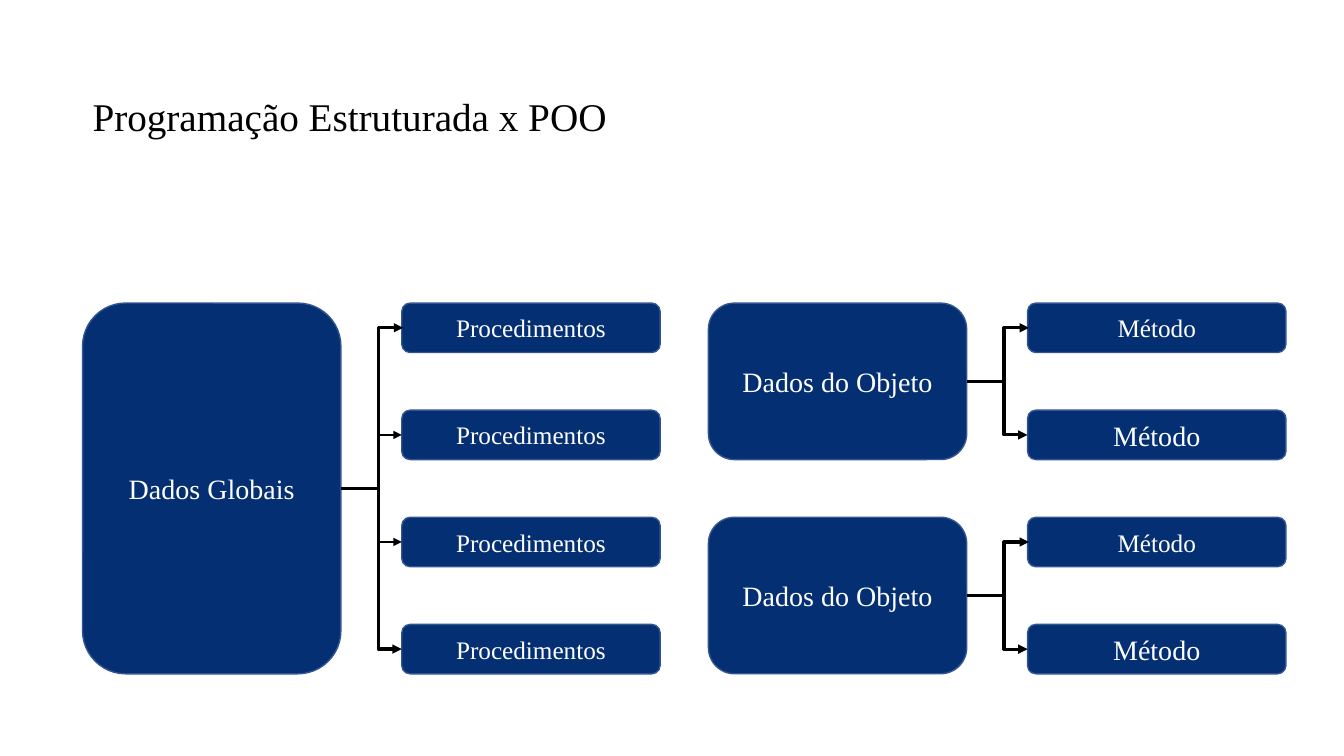
"""Build a slide comparing structured programming with object orientation."""
from lxml import etree
from pptx import Presentation
from pptx import util as u
from pptx.dml import color
from pptx.enum import shapes, text
from pptx.oxml import ns

LEFT, TOP, WIDTH, HEIGHT = 59, 216.5, 184.5, 35.3
PITCH, BRANCH_OFFSET, PANEL_OFFSET = 76.5, 228, 447
TRUNK_GAP, TIP = 17, 1


def rgb(value):
    """Turn a hex string into a colour."""
    return color.RGBColor.from_string(value)


class Deck:
    """Hold the style and the current slide."""

    font = "Times New Roman"
    fill, border, ink, light = "043073", "325491", "000000", "FFFFFF"

    def __init__(self, prs):
        """Add a blank slide."""
        self.s = prs.slides.add_slide(prs.slide_layouts[6])

    def label(self, sp, words, size, ink, align):
        """Put one formatted paragraph in a shape."""
        tf = sp.text_frame
        tf.word_wrap = True
        tf.vertical_anchor = text.MSO_ANCHOR.MIDDLE
        p = tf.paragraphs[0]
        p.alignment = align
        r = p.add_run()
        r.text = words
        for name, value in {"name": self.font, "size": u.Pt(size)}.items():
            setattr(r.font, name, value)
        r.font.color.rgb = rgb(ink)
        return p

    def title(self, words, *box):
        """Add the heading."""
        sp = self.s.shapes.add_textbox(*map(u.Pt, box))
        p = self.label(sp, words, 28, self.ink, text.PP_ALIGN.LEFT)
        p.line_spacing = 0.9

    def box(self, words, size, *box):
        """Add a rounded box with centred text."""
        sp = self.s.shapes.add_shape(
            shapes.MSO_SHAPE.ROUNDED_RECTANGLE, *map(u.Pt, box))
        sp.shadow.inherit = False
        sp.fill.solid()
        sp.fill.fore_color.rgb = rgb(self.fill)
        sp.line.color.rgb = rgb(self.border)
        sp.line.width = u.Pt(1)
        self.label(sp, words, size, self.light, text.PP_ALIGN.CENTER)
        return sp

    def line(self, x1, y1, x2, y2, width, ends=(), kind="STRAIGHT"):
        """Add a connector with optional arrowheads."""
        c = self.s.shapes.add_connector(
            shapes.MSO_CONNECTOR[kind], *map(u.Pt, (x1, y1, x2, y2)))
        c.line.color.rgb = rgb(self.ink)
        c.line.width = u.Pt(width)
        ln = c.line._get_or_add_ln()
        for end in ends:
            etree.SubElement(ln, ns.qn(f"a:{end}"), type="triangle")
        etree.SubElement(c._element.spPr, ns.qn("a:effectLst"))
        return c

    def bracket(self, x, y1, y2):
        """Add a double-headed bracket joining the first and last branches."""
        c = self.line(x + TIP, y1, x, y2, 2.25,
                      ("headEnd", "tailEnd"), "ELBOW")
        guides = c._element.spPr.prstGeom.get_or_add_avLst()
        bend = round((TRUNK_GAP + TIP) / TIP * 100000)
        etree.SubElement(guides, ns.qn("a:gd"), name="adj1", fmla=f"val {bend}")

    def group(self, x, y, data, branch, sizes):
        """Add a data box and the branches it feeds."""
        branch_x = x + BRANCH_OFFSET
        trunk = branch_x - TRUNK_GAP
        height = PITCH * (len(sizes) - 1) + HEIGHT
        source = self.box(data, 20, x, y, WIDTH, height)
        tops = [y + PITCH * i for i in range(len(sizes))]
        targets = [self.box(branch, size, branch_x, top, WIDTH, HEIGHT)
                   for size, top in zip(sizes, tops)]
        centres = [top + HEIGHT / 2 for top in tops]
        self.bracket(branch_x, centres[0], centres[-1])
        middle = y + height / 2
        stem = self.line(x + WIDTH, middle, trunk, middle, 2.25)
        stem.begin_connect(source, 3)
        for target, centre in list(zip(targets, centres))[1:-1]:
            arrow = self.line(trunk, centre, branch_x, centre, 1.5, ("tailEnd",))
            arrow.end_connect(target, 1)


def main():
    """Build and save the presentation."""
    prs = Presentation()
    prs.slide_width, prs.slide_height = u.Pt(960), u.Pt(540)
    deck = Deck(prs)
    deck.title("Programação Estruturada x POO", LEFT, 67, 741, 35.3)
    deck.group(LEFT, TOP, "Dados Globais", "Procedimentos", [18] * 4)
    for row in (0, 2):
        deck.group(LEFT + PANEL_OFFSET, TOP + PITCH * row,
                   "Dados do Objeto", "Método", [18, 20])
    prs.save("out.pptx")


if __name__ == "__main__":
    main()
